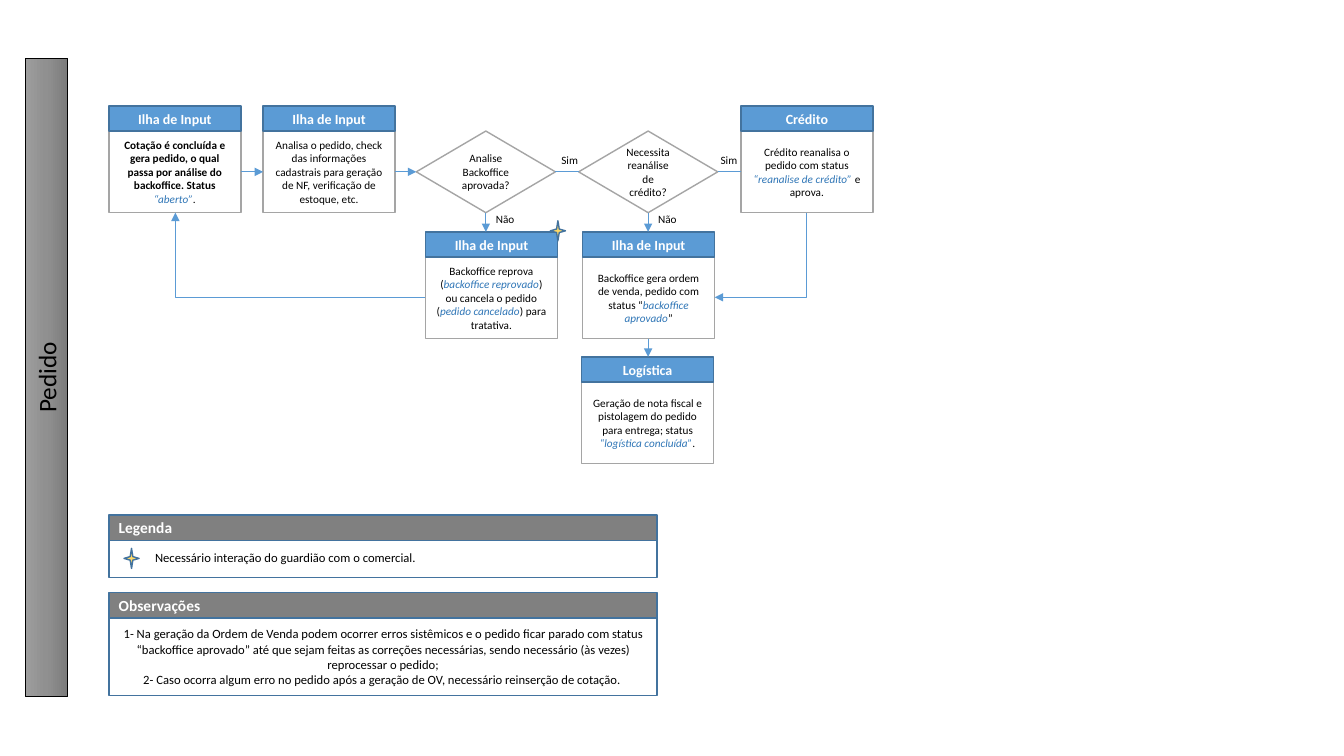
from collections import namedtuple
from lxml import etree
from pptx import Presentation
from pptx import util as u
from pptx.dml import color
from pptx.enum import shapes, text
from pptx.oxml import ns

COLS, ROWS, CELL = 133.33, 75, u.Inches(0.1)
CARD_W, CARD_H, HEAD = 13.1, 10.6, 2.5
RHOMB_W, RHOMB_H = 13.8, 8.1
FONT = "Calibri"
C = {"blue": "5B9BD5", "edge": "43739E", "gray": "A5A5A5", "band": "808080",
     "status": "2E75B6", "gold": "FFD966", "white": "FFFFFF", "black": "000000",
     "bar1": "9D9D9D", "bar2": "909090", "bar3": "7C7C7C"}
Style = namedtuple("Style", "color bold italic")
PLAIN, BOLD = Style("black", False, False), Style("black", True, False)
STATUS, SLANT = Style("status", False, True), Style("black", False, True)
TITLE = Style("white", True, False)
Look = namedtuple("Look", "band edge title_size size align")
STEP = Look("blue", "gray", 10, 8, text.PP_ALIGN.CENTER)
PANEL = Look("band", "edge", 11, 9, text.PP_ALIGN.LEFT)
Box = namedtuple("Box", "x y w h")
P = shapes.MSO_SHAPE


def cells(*values):
    """Turn grid cells into EMU lengths."""
    return [round(v * CELL) for v in values]


def within(box, x, y, w, h):
    """Return a box placed relative to another box."""
    return Box(box.x + x, box.y + y, w, h)


def rgb(name):
    """Look up a palette colour."""
    return color.RGBColor.from_string(C[name])


def write(tf, paras, size, align):
    """Fill a text frame with paragraphs of (text, style) runs."""
    for i, runs in enumerate(paras):
        p = tf.add_paragraph() if i else tf.paragraphs[0]
        p.alignment = align
        for words, style in runs:
            r = p.add_run()
            r.text = words
            f = r.font
            f.name, f.size, f.bold, f.italic = FONT, u.Pt(size), style.bold, style.italic
            f.color.rgb = rgb(style.color)


def block(s, kind, box, fill, edge, paras=(), size=8, align=text.PP_ALIGN.CENTER, width=1):
    """Add a filled, outlined shape with its text."""
    sp = s.shapes.add_shape(kind, *cells(*box))
    sp.shadow.inherit = False
    sp.fill.solid()
    sp.fill.fore_color.rgb = rgb(fill)
    sp.line.color.rgb, sp.line.width = rgb(edge), u.Pt(width)
    sp.text_frame.word_wrap = True
    sp.text_frame.vertical_anchor = text.MSO_ANCHOR.MIDDLE
    write(sp.text_frame, paras, size, align)
    return sp


def label(s, box, words, size=8, wrap=False):
    """Add a plain caption."""
    tf = s.shapes.add_textbox(*cells(*box)).text_frame
    tf.word_wrap = wrap
    write(tf, [[(words, PLAIN)]], size, text.PP_ALIGN.LEFT)


def star(s, box, x, y):
    """Add the guardian mark."""
    block(s, P.STAR_4_POINT, within(box, x, y, 1.5, 2), "gold", "edge")


def card(s, box, title, paras, look=STEP):
    """Stack a title band on a white body."""
    block(s, P.RECTANGLE, within(box, 0, HEAD, box.w, box.h - HEAD), "white", look.edge,
          paras, look.size)
    block(s, P.RECTANGLE, within(box, 0, 0, box.w, HEAD), look.band, "edge",
          [[(title, TITLE)]], look.title_size, look.align)


def link(s, box, x1, y1, x2, y2, arrow=True, turn=None):
    """Join two points, straight or with one corner turned by an angle."""
    kind = shapes.MSO_CONNECTOR.STRAIGHT
    if turn is not None:
        kind = shapes.MSO_CONNECTOR.ELBOW
        mx, my, w, h = (x1 + x2) / 2, (y1 + y2) / 2, abs(x2 - x1), abs(y2 - y1)
        if turn % 180:
            w, h = h, w
        x1, y1, x2, y2 = mx - w / 2, my - h / 2, mx + w / 2, my + h / 2
    sp = s.shapes.add_connector(kind, *cells(box.x + x1, box.y + y1, box.x + x2, box.y + y2))
    sp.line.color.rgb, sp.line.width = rgb("blue"), u.Pt(0.5)
    pr = sp._element.spPr
    if turn is not None:
        pr.find(ns.qn("a:xfrm")).set("rot", str(turn * 60000))
        pr.find(ns.qn("a:prstGeom")).set("prst", "bentConnector2")
    if arrow:
        etree.SubElement(sp.line._get_or_add_ln(), ns.qn("a:tailEnd"), type="triangle")
    etree.SubElement(pr, ns.qn("a:effectLst"))


def stage_bar(s, box):
    """Draw the upright gradient bar that names the stage."""
    flat = Box(box.x + (box.w - box.h) / 2, box.y + (box.h - box.w) / 2, box.h, box.w)
    sp = block(s, P.RECTANGLE, flat, "bar2", "black", [[("Pedido", PLAIN)]], 18, width=0.5)
    sp.rotation = 270
    sp.fill.gradient()
    sp.fill.gradient_angle = 270
    stops = sp._element.spPr.find(ns.qn("a:gradFill")).find(ns.qn("a:gsLst"))
    for old in list(stops):
        stops.remove(old)
    for pos, name in ((0, "bar1"), (50, "bar2"), (100, "bar3")):
        gs = etree.SubElement(stops, ns.qn("a:gs"), pos=str(pos * 1000))
        etree.SubElement(gs, ns.qn("a:srgbClr"), val=C[name])


def flow(s, box):
    """Draw the order flow: steps, decisions, links and captions."""
    steps = [
        (0, 0, "Ilha de Input", [
            ("Cotação é concluída e gera pedido, o qual passa por análise do backoffice. Status ", BOLD),
            ("“aberto”", STATUS), (".", SLANT)]),
        (15.3, 0, "Ilha de Input", [
            ("Analisa o pedido, check das informações cadastrais para geração de NF, "
             "verificação de estoque, etc.", PLAIN)]),
        (62.7, 0, "Crédito", [
            ("Crédito reanalisa o pedido com status ", PLAIN),
            ("“reanalise de crédito” ", STATUS), ("e aprova.", PLAIN)]),
        (31.4, 12.5, "Ilha de Input", [
            ("Backoffice reprova (", PLAIN), ("backoffice reprovado", STATUS),
            (") ou cancela o pedido (", PLAIN), ("pedido cancelado", STATUS),
            (") para tratativa.", PLAIN)]),
        (47, 12.5, "Ilha de Input", [
            ("Backoffice gera ordem de venda, pedido com status “", PLAIN),
            ("backoffice aprovado", STATUS), ("”", PLAIN)]),
        (46.9, 24.9, "Logística", [
            ("Geração de nota fiscal e pistolagem do pedido para entrega; status ", PLAIN),
            ("“logística concluída”", STATUS), (".", SLANT)])]
    for x, y, title, runs in steps:
        card(s, within(box, x, y, CARD_W, CARD_H), title, [runs])
    for x, question in ((30.5, "Analise Backoffice aprovada?"),
                        (46.6, "Necessita reanálise de crédito?")):
        block(s, P.FLOWCHART_DECISION, within(box, x, HEAD, RHOMB_W, RHOMB_H),
              "white", "gray", [[(question, PLAIN)]])
    mid = HEAD + RHOMB_H / 2
    for x1, x2, arrow in ((13.1, 15.3, True), (28.4, 30.5, True),
                          (44.3, 46.6, False), (60.4, 62.7, False)):
        link(s, box, x1, mid, x2, mid, arrow)
    for x, y1, y2 in ((37.4, 10.6, 12.5), (53.5, 10.6, 12.5), (53.5, 23.1, 24.9)):
        link(s, box, x, y1, x, y2)
    link(s, box, 69.2, 10.6, 60.1, 19, turn=90)
    link(s, box, 31.4, 19, 6.6, 10.6, turn=180)
    for x, y, words in ((43.9, 4.2, "Sim"), (59.7, 4.2, "Sim"),
                        (37.4, 10.1, "Não"), (53.5, 10.1, "Não")):
        label(s, within(box, x, y, 4.1, 2.4), words)
    star(s, box, 43.8, 11.4)


def legend(s, box):
    """Draw the legend panel."""
    card(s, box, "Legenda", [], PANEL)
    label(s, within(box, 3.6, 3, 51.4, 2.5),
          "Necessário interação do guardião com o comercial.", 9, True)
    star(s, box, 1.5, 3.3)


def remarks(s, box):
    """Draw the remarks panel."""
    notes = ["1- Na geração da Ordem de Venda podem ocorrer erros sistêmicos e o pedido ficar "
             "parado com status “backoffice aprovado” até que sejam feitas as correções "
             "necessárias, sendo necessário (às vezes) reprocessar o pedido;",
             "2- Caso ocorra algum erro no pedido após a geração de OV, necessário reinserção "
             "de cotação. "]
    card(s, box, "Observações", [[(note, PLAIN)] for note in notes], PANEL)


prs = Presentation()
prs.slide_width, prs.slide_height = cells(COLS, ROWS)
s = prs.slides.add_slide(prs.slide_layouts[6])
stage_bar(s, Box(2.5, 5.8, 4.2, 63.3))
flow(s, Box(10.8, 10.5, 75.8, 35.5))
legend(s, Box(10.8, 51.1, 54.4, 6.2))
remarks(s, Box(10.8, 58.8, 54.4, 10.2))
prs.save("out.pptx")
